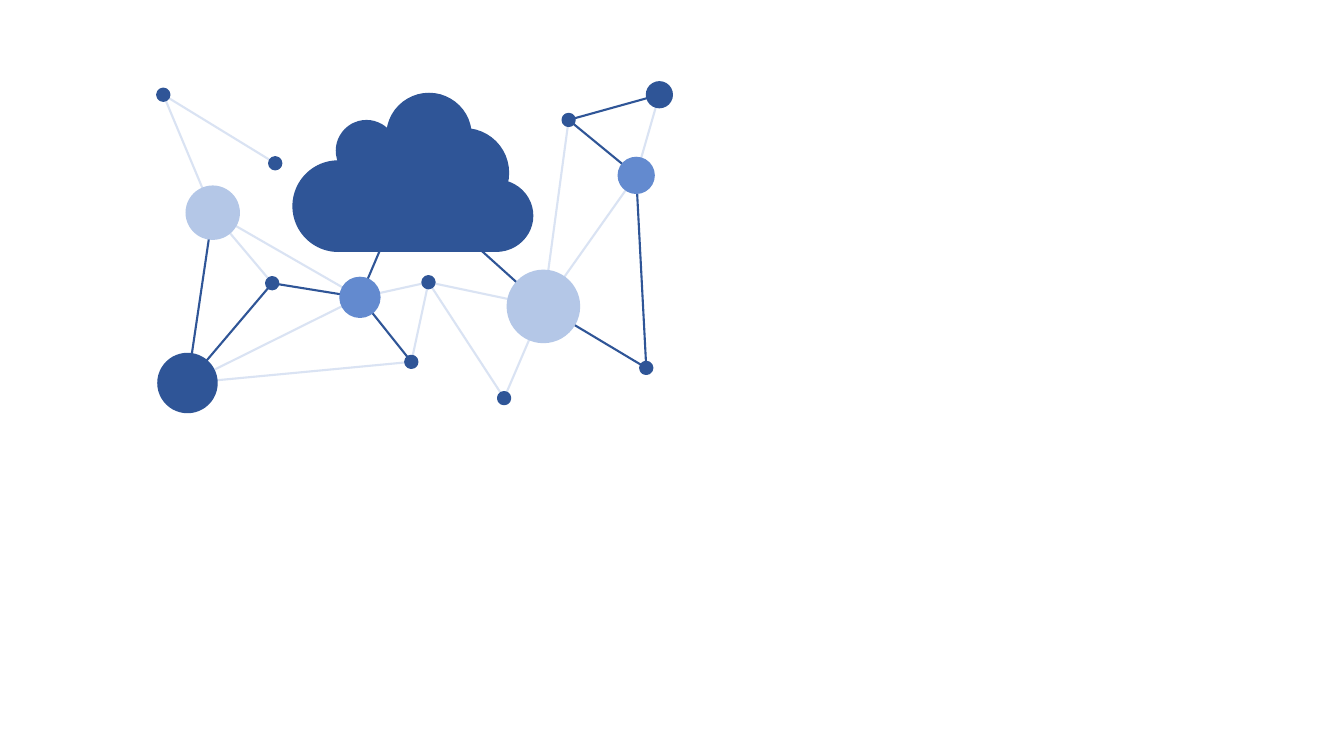
from lxml import etree
from pptx import Presentation
from pptx.dml.color import RGBColor
from pptx.enum.shapes import MSO_CONNECTOR, MSO_SHAPE
from pptx.oxml.ns import qn
from pptx.util import Inches, Pt

OVAL = MSO_SHAPE.OVAL
RECT = MSO_SHAPE.RECTANGLE
LINE = MSO_CONNECTOR.STRAIGHT

NAVY = RGBColor(0x2F, 0x55, 0x97)
BLUE = RGBColor(0x63, 0x8A, 0xCF)
PALE = RGBColor(0xB4, 0xC7, 0xE7)
MIST = RGBColor(0xDA, 0xE3, 0xF3)

# Cloud parts: shape, left, top, width, height
CLOUD = [
    (OVAL, 2.9, 1.59, 0.91, 0.91),
    (OVAL, 3.33, 1.19, 0.61, 0.61),
    (OVAL, 3.83, 0.92, 0.85, 0.85),
    (OVAL, 4.16, 1.27, 0.89, 0.89),
    (OVAL, 4.55, 1.78, 0.74, 0.72),
    (RECT, 3.34, 1.59, 1.59, 0.91),
]

# Large nodes: centre x, centre y, diameter, colour
DISCS = {
    "east": (6.31, 1.74, 0.37, BLUE),
    "base": (1.86, 3.8, 0.6, NAVY),
    "hub": (5.39, 3.04, 0.73, PALE),
    "peak": (6.54, 0.94, 0.27, NAVY),
    "west": (2.11, 2.11, 0.54, PALE),
    "core": (3.57, 2.95, 0.41, BLUE),
}

# Small nodes: centre x, centre y
DOTS = {
    "left": (2.7, 2.81),
    "low": (4.08, 3.59),
    "mid": (4.25, 2.8),
    "foot": (5, 3.95),
    "right": (6.41, 3.65),
    "top": (1.62, 0.94),
    "near": (2.73, 1.62),
    "high": (5.64, 1.19),
}
DOT_SIZE = 0.1

# Points hidden inside the cloud where its two links begin
PORTS = {"port a": (3.85, 2.29), "port b": (4.39, 2.14)}

LINKS = [
    ("core", "base", MIST), ("core", "west", MIST),
    ("west", "base", NAVY), ("left", "base", NAVY),
    ("left", "core", NAVY), ("left", "west", MIST),
    ("core", "port a", NAVY), ("top", "west", MIST),
    ("core", "low", NAVY), ("low", "base", MIST),
    ("port b", "hub", NAVY), ("mid", "low", MIST),
    ("core", "mid", MIST), ("mid", "hub", MIST),
    ("mid", "foot", MIST), ("hub", "foot", MIST),
    ("right", "hub", NAVY), ("right", "east", NAVY),
    ("hub", "east", MIST), ("high", "east", NAVY),
    ("hub", "high", MIST), ("top", "near", MIST),
    ("high", "peak", NAVY), ("peak", "east", MIST),
]


def add_solid(shapes, kind, box, color):
    solid = shapes.add_shape(kind, *map(Inches, box))
    solid.shadow.inherit = False
    solid.fill.solid()
    solid.fill.fore_color.rgb = color
    solid.line.fill.background()
    return solid


def add_node(shapes, x, y, size, color):
    """Add a circle centred on x, y."""
    box = (x - size / 2, y - size / 2, size, size)
    return add_solid(shapes, OVAL, box, color)


def add_dot(shapes, x, y):
    dot = add_node(shapes, x, y, DOT_SIZE, NAVY)
    dot.line.color.rgb = NAVY
    dot.line.width = Pt(3)


def add_link(shapes, start, end, color):
    link = shapes.add_connector(LINE, *map(Inches, start + end))
    link.line.color.rgb = color
    link.line.width = Pt(1.5)
    etree.SubElement(link._element.spPr, qn("a:effectLst"))


def main():
    deck = Presentation()
    deck.slide_width = Inches(13.33)
    deck.slide_height = Inches(7.5)
    slide = deck.slides.add_slide(deck.slide_layouts[6])
    shapes = slide.shapes.add_group_shape().shapes

    for kind, *box in CLOUD:
        add_solid(shapes, kind, box, NAVY)
    spots = {name: disc[:2] for name, disc in DISCS.items()} | DOTS | PORTS
    for start, end, color in LINKS:
        add_link(shapes, spots[start], spots[end], color)
    for disc in DISCS.values():
        add_node(shapes, *disc)
    for dot in DOTS.values():
        add_dot(shapes, *dot)

    deck.save("out.pptx")


if __name__ == "__main__":
    main()
